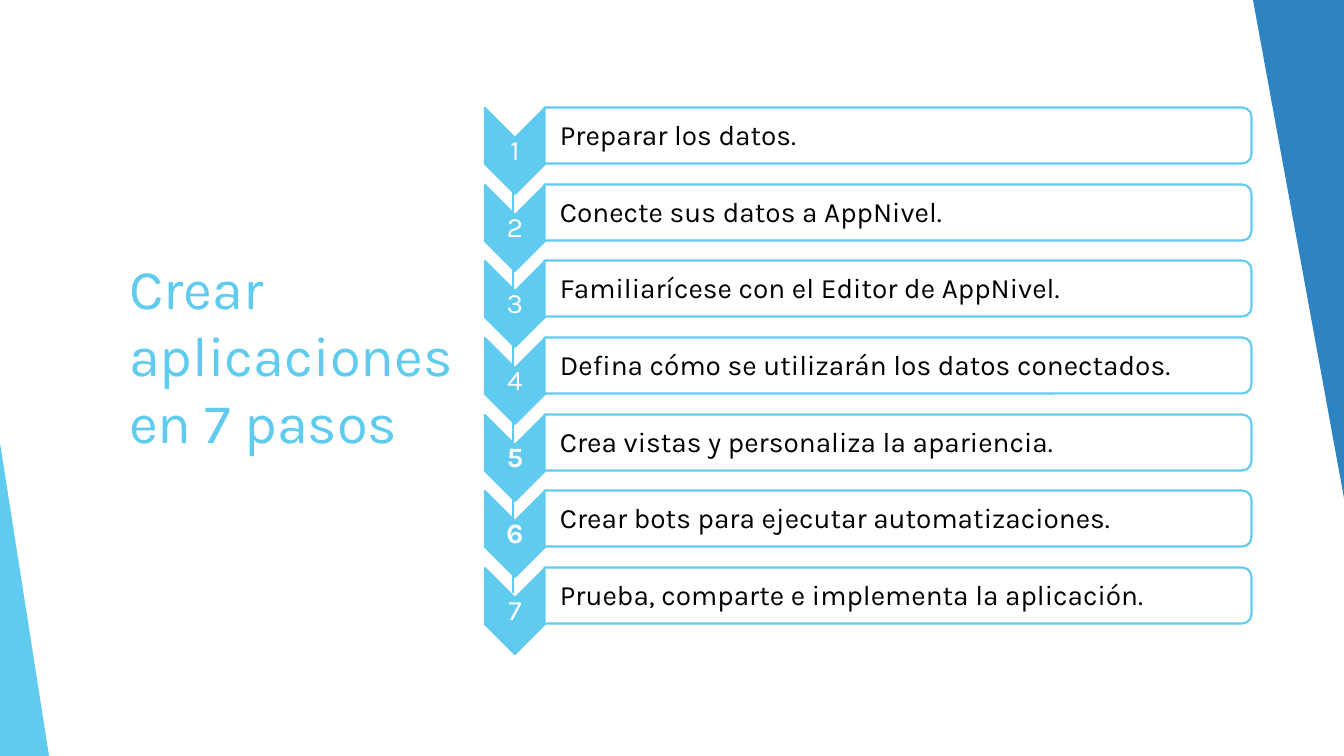
from dataclasses import dataclass

from lxml.etree import SubElement
from pptx import Presentation
from pptx.dml.color import RGBColor
from pptx.enum.shapes import MSO_CONNECTOR as Connector, MSO_SHAPE as Shape
from pptx.enum.text import MSO_ANCHOR as Anchor, MSO_AUTO_SIZE as AutoSize, PP_ALIGN as Align
from pptx.oxml.ns import qn
from pptx.util import Emu, Pt


@dataclass(frozen=True)
class Theme:
    font: str = "Karla"
    sky: RGBColor = RGBColor(0x5F, 0xCB, 0xEF)
    blue: RGBColor = RGBColor(0x2E, 0x83, 0xC3)
    white: RGBColor = RGBColor(0xFF, 0xFF, 0xFF)
    black: RGBColor = RGBColor(0, 0, 0)
    title_size: int = 40
    step_size: int = 20
    outline: float = 1.5
    spine: float = 1


THEME = Theme()
TITLE = "Crear aplicaciones en 7 pasos"
STEPS = [
    "Preparar los datos.",
    "Conecte sus datos a AppNivel.",
    "Familiarícese con el Editor de AppNivel.",
    "Defina cómo se utilizarán los datos conectados.",
    "Crea vistas y personaliza la apariencia.",
    "Crear bots para ejecutar automatizaciones.",
    "Prueba, comparte e implementa la aplicación.",
]
BOLD_NUMBERS = {5, 6}
STEPS_SPAN = 460  # from the first step to the last


def px(length):
    return Emu(round(length * 914400 / 100.8))


def frame(left, top, width, height):
    return px(left), px(top), px(width), px(height)


def format_text(text_frame, size, color, align=Align.LEFT, bold=False):
    text_frame.word_wrap = True
    text_frame.auto_size = AutoSize.NONE
    text_frame.vertical_anchor = Anchor.MIDDLE
    for para in text_frame.paragraphs:
        para.alignment = align
        for span in para.runs:
            span.font.name = THEME.font
            span.font.size = Pt(size)
            span.font.bold = bold
            span.font.color.rgb = color


def add_title(page):
    title = page.shapes.title
    title.left, title.top, title.width, title.height = frame(119, 108, 364, 492)
    title.text_frame.text = TITLE
    format_text(title.text_frame, THEME.title_size, THEME.sky)


def add_solid(page, kind, place, fill, line=None, rotation=0):
    solid = page.shapes.add_shape(kind, *frame(*place))
    solid.shadow.inherit = False
    solid.rotation = rotation
    solid.fill.solid()
    solid.fill.fore_color.rgb = fill
    if line is None:
        solid.line.fill.background()
    else:
        solid.line.color.rgb = line
        solid.line.width = Pt(THEME.outline)
    return solid


def add_corner(page, place, fill, rotation=0):
    corner = add_solid(page, Shape.ISOSCELES_TRIANGLE, place, fill, rotation=rotation)
    corner.adjustments[0] = 0


def add_spine(page, x, top, bottom):
    spine = page.shapes.add_connector(Connector.STRAIGHT, px(x), px(top), px(x), px(bottom))
    spine.line.color.rgb = THEME.sky
    spine.line.width = Pt(THEME.spine)
    SubElement(spine._element.spPr, qn("a:effectLst"))


def add_label(page, place, text, color, inset=1, align=Align.LEFT, bold=False):
    box = page.shapes.add_textbox(*frame(*place))
    text_frame = box.text_frame
    text_frame.text = text
    text_frame.margin_left = px(inset)
    text_frame.margin_top = text_frame.margin_right = text_frame.margin_bottom = px(1)
    text_frame.paragraphs[0].line_spacing = 0.9
    format_text(text_frame, THEME.step_size, color, align, bold)


def add_step(page, number, text, offset):
    # Chevron and bar are turned a quarter to point down and right
    add_solid(page, Shape.CHEVRON, (472, 121 + offset, 86, 60), THEME.sky, THEME.sky, 90)
    add_label(page, (485, 138 + offset, 60, 26), str(number), THEME.white,
              align=Align.CENTER, bold=number in BOLD_NUMBERS)
    add_solid(page, Shape.ROUND_2_SAME_RECTANGLE, (870, offset - 218, 56, 707),
              THEME.white, THEME.sky, 90)
    add_label(page, (544, 111 + offset, 704, 50), text, THEME.black, inset=16)


def main():
    deck = Presentation()
    deck.slide_width, deck.slide_height = px(1344), px(756)
    page = deck.slides.add_slide(deck.slide_layouts[5])

    # Title and left corner
    add_title(page)
    add_corner(page, (0, 443, 49, 313), THEME.sky)

    # Steps along the spine
    add_spine(page, 513, 159, 593)
    for index, text in enumerate(STEPS):
        add_step(page, index + 1, text, round(STEPS_SPAN * index / (len(STEPS) - 1)))

    # Right corner
    add_corner(page, (1253, 0, 93, 509), THEME.blue, rotation=180)
    deck.save("out.pptx")


if __name__ == "__main__":
    main()
